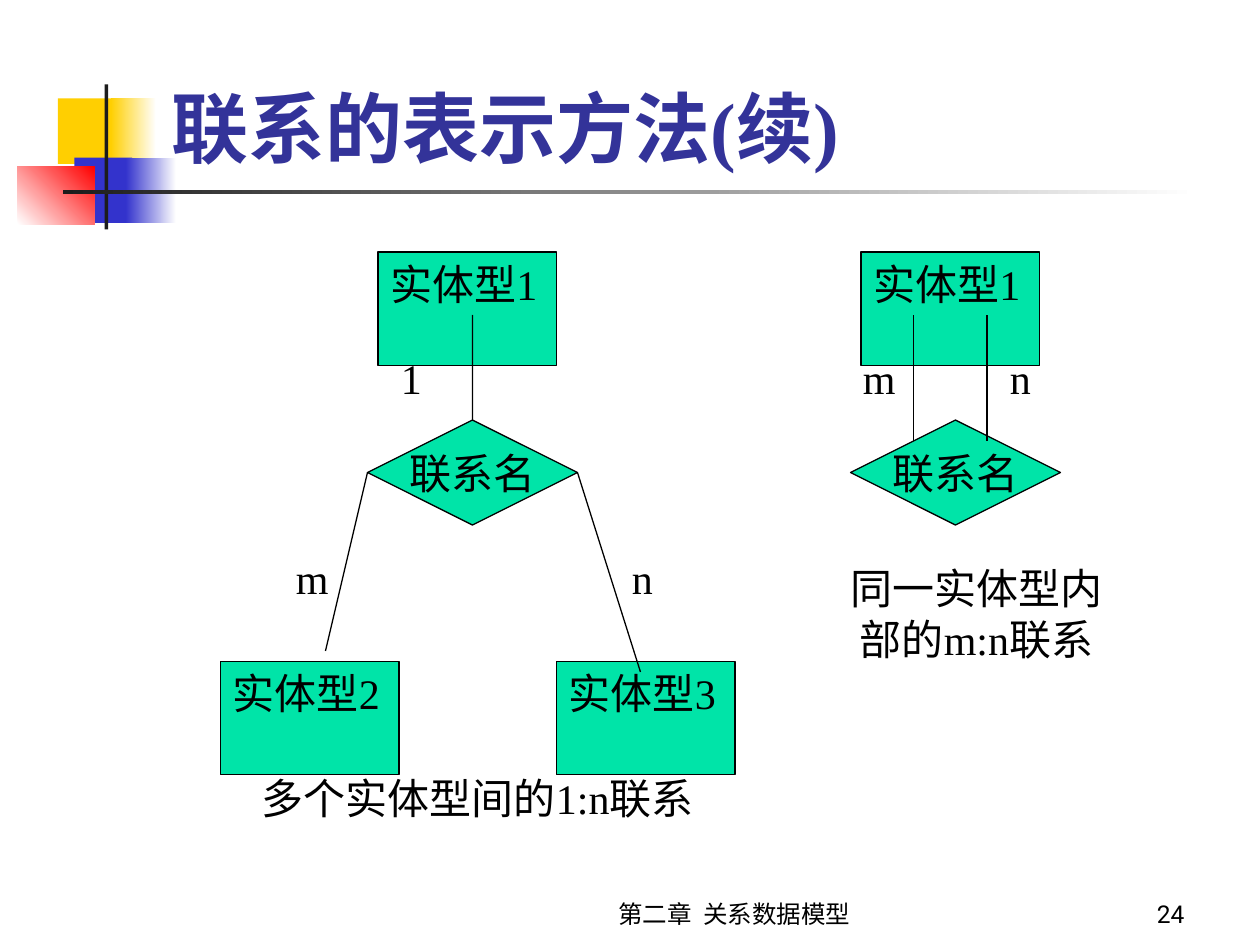
from lxml import etree
from pptx import Presentation
from pptx import util as u
from pptx.dml.color import RGBColor
from pptx.enum import shapes, text
from pptx.oxml import ns

UNIT = 1 / 12  # grid step in inches
ENTITY_SIZE = (17, 10.8)
DIAMOND_SIZE = (20, 10)
LABEL_SIZE = (5, 6)
SERIF, SANS = "Times New Roman", "Roboto"
BLACK, GREEN = "000000", "00E4A8"
LEFT, CENTER, RIGHT = text.PP_ALIGN.LEFT, text.PP_ALIGN.CENTER, text.PP_ALIGN.RIGHT
TOP, MIDDLE, BOTTOM = text.MSO_ANCHOR.TOP, text.MSO_ANCHOR.MIDDLE, text.MSO_ANCHOR.BOTTOM
TOP_SITE, LEFT_SITE, RIGHT_SITE = 0, 1, 3


def color(value):
    return RGBColor.from_string(value)


def inches(*values):
    return [u.Inches(v) for v in values]


def write(sp, words, size=24, font=SERIF, ink=BLACK, bold=False, align=LEFT,
          anchor=TOP, wrap=True, grow=False):
    tf = sp.text_frame
    tf.word_wrap = wrap
    tf.auto_size = (text.MSO_AUTO_SIZE.SHAPE_TO_FIT_TEXT if grow
                    else text.MSO_AUTO_SIZE.NONE)
    tf.vertical_anchor = anchor
    p = tf.paragraphs[0]
    p.alignment = align
    r = p.add_run()
    r.text = words
    r.font.size, r.font.name, r.font.bold = u.Pt(size), font, bold
    r.font.color.rgb = color(ink)


def add_band(s, box, start, end=None, angle=0):
    """Add a borderless rectangle, solid or fading from start to end."""
    sp = s.shapes.add_shape(shapes.MSO_SHAPE.RECTANGLE, *inches(*box))
    sp.shadow.inherit = False
    sp.line.fill.background()
    if end is None:
        sp.fill.solid()
        sp.fill.fore_color.rgb = color(start)
        return
    sp.fill.gradient()
    sp.fill.gradient_angle = angle
    for stop, value in zip(sp.fill.gradient_stops, (start, end)):
        stop.color.rgb = color(value)


def add_ornament(s):
    add_band(s, (0.46, 0.78, 0.48, 0.52), "FFCF01")
    add_band(s, (0.88, 0.78, 0.36, 0.52), "FFCF01", "FFFFFF")
    add_band(s, (0.59, 1.25, 0.46, 0.52), "3333CC")
    add_band(s, (1, 1.25, 0.4, 0.52), "3333CC", "FFFFFF")
    add_band(s, (0.14, 1.32, 0.61, 0.46), "FFFFFF", "FF0000", angle=45)
    add_band(s, (0.83, 0.67, 0.03, 1.15), "1C1C1C")
    add_band(s, (0.5, 1.51, 9, 0.03), "1C1C1C", "FFFFFF")


def add_title(s, words):
    title = s.shapes.title
    title.left, title.top, title.width, title.height = inches(1.26, 0.42, 8.52, 1)
    write(title, words, size=44, ink="333399", bold=True, anchor=BOTTOM)


def add_footer(s, chapter, number):
    for left, width, words, align in ((3.83, 4, chapter, CENTER),
                                      (8.25, 1.25, number, RIGHT)):
        sp = s.shapes.add_textbox(*inches(left, 6.92, width, 0.5))
        write(sp, words, size=14, font=SANS, align=align, anchor=BOTTOM)


class Diagram:
    """A group of shapes placed in grid units from its own left top corner."""

    def __init__(self, s, col, row):
        self.shapes = s.shapes.add_group_shape().shapes
        self.col, self.row = col, row

    def at(self, x, y):
        return inches((self.col + x) * UNIT, (self.row + y) * UNIT)

    def box(self, x, y, size):
        return self.at(x, y) + inches(*(n * UNIT for n in size))

    def node(self, kind, x, y, size, words, **style):
        sp = self.shapes.add_shape(kind, *self.box(x, y, size))
        sp.shadow.inherit = False
        sp.fill.solid()
        sp.fill.fore_color.rgb = color(GREEN)
        sp.line.color.rgb = color(BLACK)
        sp.line.width = u.Pt(0.75)
        write(sp, words, **style)
        return sp

    def entity(self, x, y, words):
        return self.node(shapes.MSO_SHAPE.RECTANGLE, x, y, ENTITY_SIZE, words, grow=True)

    def relation(self, x, y):
        return self.node(shapes.MSO_SHAPE.DIAMOND, x, y, DIAMOND_SIZE, "联系名",
                         align=CENTER, anchor=MIDDLE, wrap=False)

    def line(self, start, end, source=None, site=None):
        c = self.shapes.add_connector(shapes.MSO_CONNECTOR.STRAIGHT,
                                      *self.at(*start), *self.at(*end))
        c.line.color.rgb = color(BLACK)
        c.line.width = u.Pt(0.75)
        etree.SubElement(c._element.spPr, ns.qn("a:effectLst"))
        if source is not None:
            c.begin_connect(source, site)

    def words(self, x, y, words, size=LABEL_SIZE, align=LEFT):
        sp = self.shapes.add_textbox(*self.box(x, y, size))
        write(sp, words, align=align, grow=True)


def add_self_relation(s, col, row):
    d = Diagram(s, col, row)
    d.entity(4, 0, "实体型1")
    d.relation(3, 16)
    for line_x, label_x, label in ((9, 3, "m"), (16, 17, "n")):
        d.line((line_x, 6), (line_x, 18))
        d.words(label_x, 9, label)
    d.words(0, 29, "同一实体型内部的m:n联系", size=(30, 10.8), align=CENTER)


def add_multi_relation(s, col, row):
    d = Diagram(s, col, row)
    relation = d.relation(14, 16)
    branches = (
        ((15, 0), "实体型1", TOP_SITE, (24, 16), (24, 6), (16, 9), "1"),
        ((0, 39), "实体型2", LEFT_SITE, (14, 21), (10, 38), (6, 28), "m"),
        ((32, 39), "实体型3", RIGHT_SITE, (34, 21), (40, 40), (38, 28), "n"),
    )
    for corner, name, site, start, end, label_at, label in branches:
        d.entity(*corner, name)
        d.line(start, end, relation, site)
        d.words(*label_at, label)
    d.words(0, 49, "多个实体型间的1:n联系", size=(49, 6), align=CENTER)


def main():
    prs = Presentation()
    prs.slide_width, prs.slide_height = inches(10, 7.5)
    s = prs.slides.add_slide(prs.slide_layouts[5])
    add_ornament(s)
    add_title(s, "联系的表示方法(续)")
    add_footer(s, "第二章  关系数据模型", "24")
    add_self_relation(s, 78, 24)
    add_multi_relation(s, 21, 24)
    prs.save("out.pptx")


if __name__ == "__main__":
    main()
